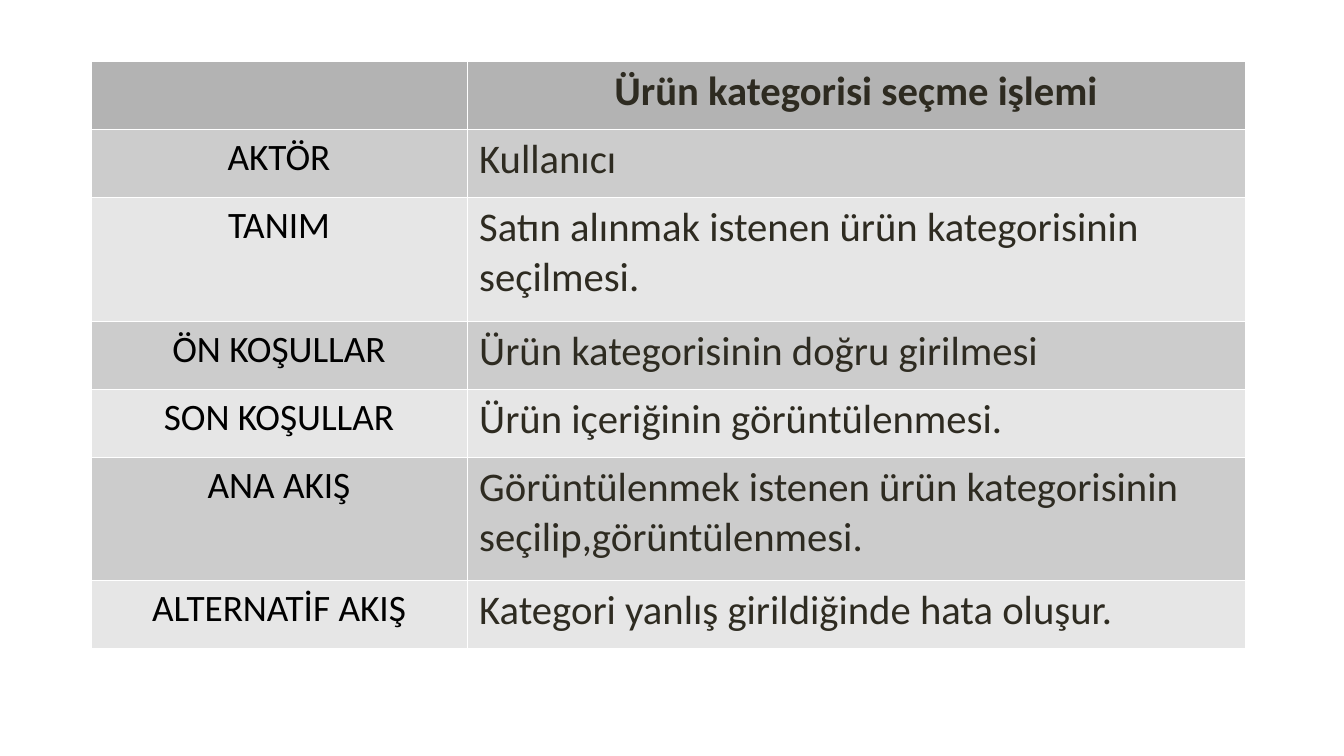
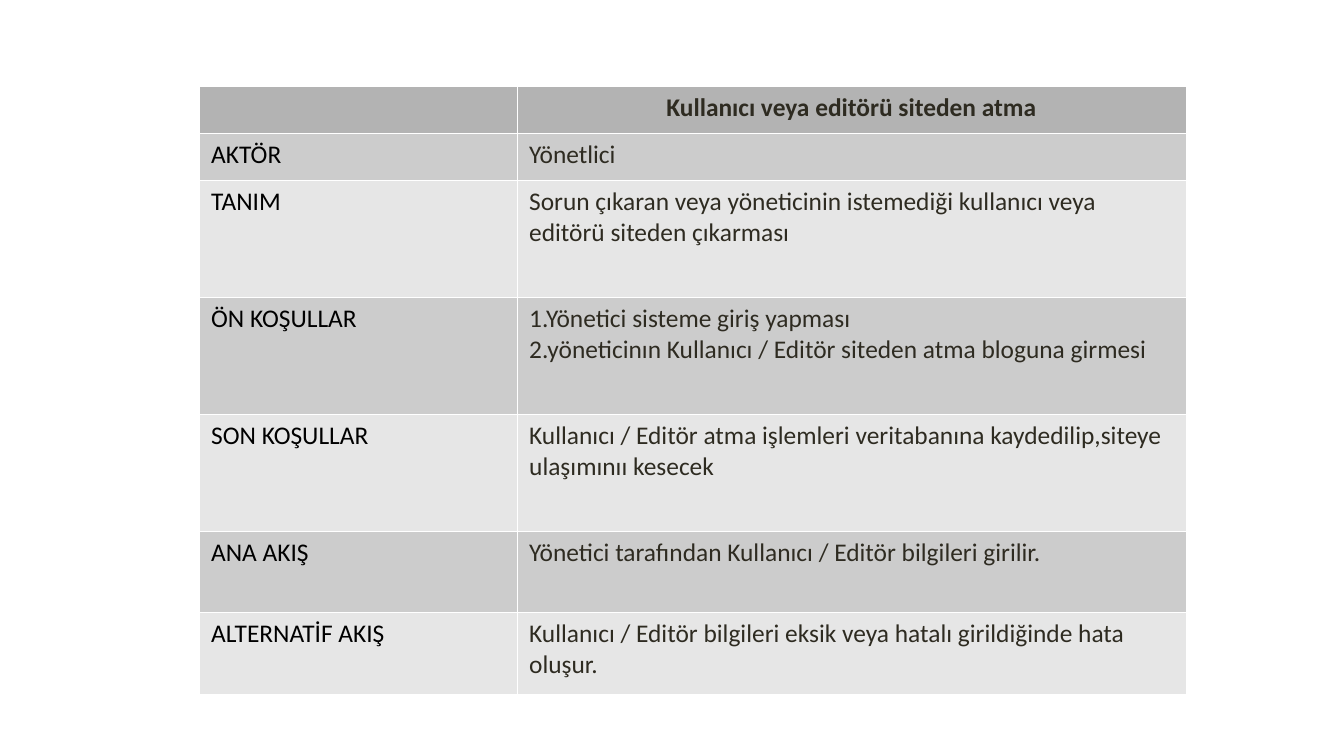
from lxml.etree import SubElement
from pptx import Presentation
from pptx.dml.color import RGBColor
from pptx.enum.text import PP_ALIGN
from pptx.oxml.ns import qn
from pptx.util import Pt

PX = 7495  # EMU per px, 122 px to the inch
FONT = "Calibri"
COLORS = {
    "header": "B3B3B3",
    "odd": "CCCCCC",
    "even": "E6E6E6",
    "border": "FFFFFF",
    "label": "000000",
    "text": "2E2B21",
}
LABELS = ["AKTÖR", "TANIM", "ÖN KOŞULLAR", "SON KOŞULLAR", "ANA AKIŞ", "ALTERNATİF AKIŞ"]

USE_CASES = [
    {
        "origin": (91, 61),
        "cols": [376, 778],
        "rows": [68, 68, 124, 68, 68, 123, 68],
        "label_size": 22,
        "text_size": 24,
        "label_align": PP_ALIGN.CENTER,
        "title": "Ürün kategorisi seçme işlemi",
        "details": [
            ["Kullanıcı"],
            ["Satın alınmak istenen ürün kategorisinin seçilmesi."],
            ["Ürün kategorisinin doğru girilmesi"],
            ["Ürün içeriğinin görüntülenmesi."],
            ["Görüntülenmek istenen ürün kategorisinin seçilip,görüntülenmesi."],
            ["Kategori yanlış girildiğinde hata oluşur."],
        ],
    },
    {
        "origin": (199, 86),
        "cols": [318, 669],
        "rows": [47, 47, 117, 117, 117, 81, 82],
        "label_size": 15,
        "text_size": 15,
        "label_align": PP_ALIGN.LEFT,
        "title": "Kullanıcı veya editörü siteden atma",
        "details": [
            ["Yönetlici"],
            ["Sorun çıkaran veya yöneticinin istemediği kullanıcı veya editörü siteden çıkarması"],
            ["1.Yönetici sisteme giriş yapması",
             "2.yöneticinın Kullanıcı / Editör siteden atma bloguna girmesi"],
            ["Kullanıcı / Editör atma işlemleri veritabanına kaydedilip,siteye ulaşımınıı kesecek"],
            ["Yönetici tarafından Kullanıcı / Editör bilgileri girilir."],
            ["Kullanıcı / Editör bilgileri eksik veya hatalı girildiğinde hata oluşur."],
        ],
    },
]


def style_cell(cell, fill):
    """Draw hairline borders on all sides, then the fill."""
    tc_pr = cell._tc.get_or_add_tcPr()
    for side in ("a:lnL", "a:lnR", "a:lnT", "a:lnB"):
        ln = SubElement(tc_pr, qn(side), w=str(Pt(0.06)))
        solid = SubElement(ln, qn("a:solidFill"))
        SubElement(solid, qn("a:srgbClr"), val=COLORS["border"])
    cell.fill.solid()
    cell.fill.fore_color.rgb = RGBColor.from_string(COLORS[fill])


def write_cell(cell, lines, size, color, align=PP_ALIGN.LEFT, bold=False):
    tf = cell.text_frame
    for i, line in enumerate(lines):
        p = tf.add_paragraph() if i else tf.paragraphs[0]
        p.alignment = align
        r = p.add_run()
        r.text = line
        r.font.name = FONT
        r.font.size = Pt(size)
        r.font.bold = bold
        r.font.color.rgb = RGBColor.from_string(COLORS[color])


def add_use_case(slide, case):
    x, y = case["origin"]
    cols, rows = case["cols"], case["rows"]
    frame = slide.shapes.add_table(len(rows), len(cols), x * PX, y * PX,
                                   sum(cols) * PX, sum(rows) * PX)
    table = frame.table
    table.horz_banding = False
    for col, width in zip(table.columns, cols):
        col.width = width * PX
    for i, (row, height) in enumerate(zip(table.rows, rows)):
        row.height = height * PX
        fill = "odd" if i % 2 else "even"
        for cell in row.cells:
            style_cell(cell, fill if i else "header")

    # The empty corner must not stretch its row with the default text size.
    corner = table.cell(0, 0).text_frame.paragraphs[0]
    SubElement(corner._p, qn("a:endParaRPr"), sz=str(case["text_size"] * 100))
    write_cell(table.cell(0, 1), [case["title"]], case["text_size"], "text",
               PP_ALIGN.CENTER, True)
    for i, (label, lines) in enumerate(zip(LABELS, case["details"]), 1):
        write_cell(table.cell(i, 0), [label], case["label_size"], "label", case["label_align"])
        write_cell(table.cell(i, 1), lines, case["text_size"], "text")


def main():
    prs = Presentation()
    prs.slide_width, prs.slide_height = 1344 * PX, 756 * PX
    for case in USE_CASES:
        add_use_case(prs.slides.add_slide(prs.slide_layouts[6]), case)
    prs.save("out.pptx")


if __name__ == "__main__":
    main()
